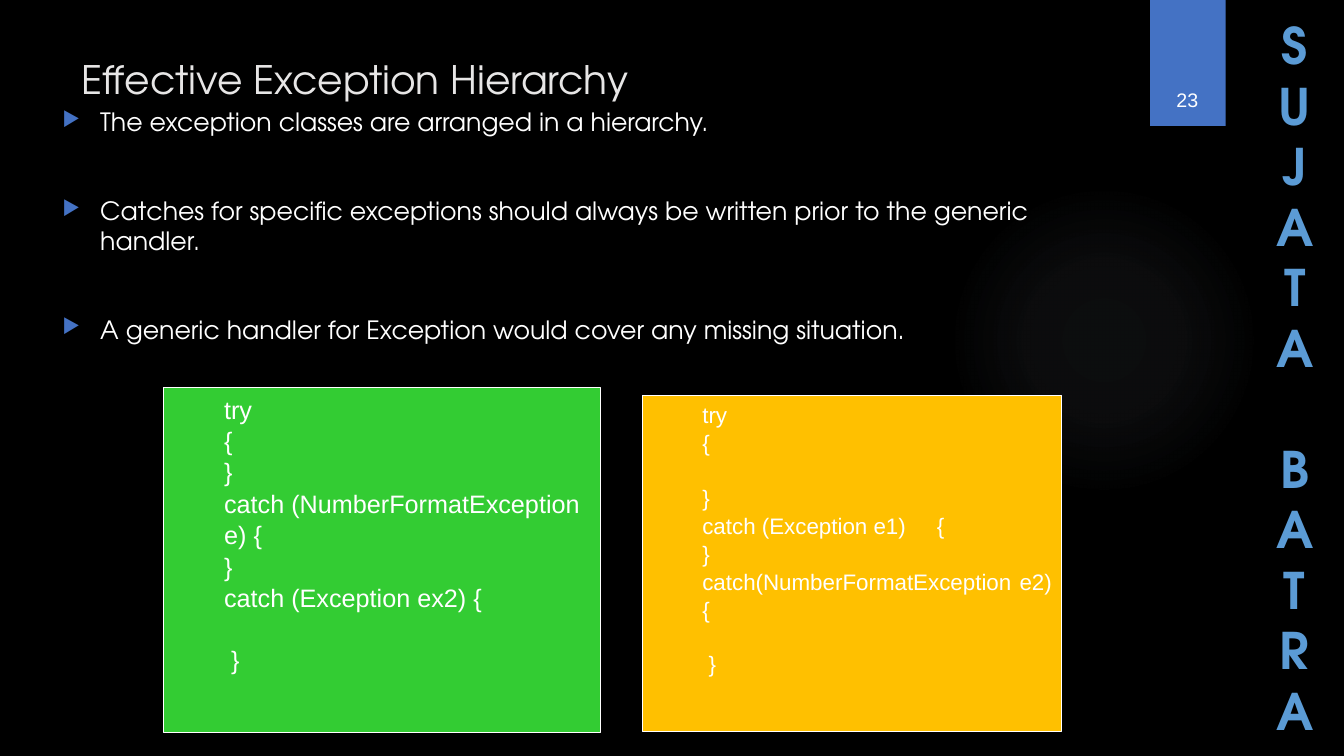
from lxml.etree import SubElement
from pptx import Presentation
from pptx.dml.color import RGBColor
from pptx.enum.shapes import MSO_SHAPE as Shape
from pptx.enum.text import MSO_ANCHOR as Anchor, PP_ALIGN as Align
from pptx.oxml import parse_xml
from pptx.oxml.ns import nsdecls, qn
from pptx.util import Pt

BLACK = RGBColor(0, 0, 0)
WHITE = RGBColor(0xFF, 0xFF, 0xFF)
PALE = RGBColor(0xE7, 0xE6, 0xE6)
BLUE = RGBColor(0x44, 0x72, 0xC4)
SKY = RGBColor(0x5B, 0x9B, 0xD5)
GREEN = RGBColor(0x33, 0xCC, 0x33)
AMBER = RGBColor(0xFF, 0xC0, 0x00)
GLOW = RGBColor(0xAD, 0xB9, 0xCA)

DISPLAY = "TeX Gyre Adventor"
PLAIN = "Arial"

POINTS = [
    "The exception classes are arranged in a hierarchy.",
    "Catches for specific exceptions should always be written prior to the generic handler.",
    "A generic handler for Exception would cover any missing situation.",
]
SPECIFIC_FIRST = [
    "try", "{", "}", "catch (NumberFormatException e) {", "}",
    "catch (Exception ex2) {", "", " }",
]
GENERIC_FIRST = [
    "try", "{", "", "}", "catch (Exception e1)     {", "}",
    "catch(NumberFormatException e2) {", "", " }",
]


def assign(target, values):
    for name, value in values.items():
        setattr(target, name, value)


class SlideBuilder:
    def __init__(self, page):
        self.page = page
        backdrop = page.background.fill
        backdrop.solid()
        backdrop.fore_color.rgb = BLACK

    def shape(self, kind, place, color=None, line=None):
        shape = self.page.shapes.add_shape(kind, *map(Pt, place))
        shape.shadow.inherit = False
        if color is not None:
            shape.fill.solid()
            shape.fill.fore_color.rgb = color
        if line is None:
            shape.line.fill.background()
        else:
            shape.line.color.rgb = line
            shape.line.width = Pt(0.75)
        return shape

    def glow(self, place, color, stops):
        shape = self.shape(Shape.OVAL, place)
        marks = "".join(
            f'<a:gs pos="{position * 1000}"><a:srgbClr val="{color}">'
            f'<a:alpha val="{alpha * 1000}"/></a:srgbClr></a:gs>'
            for position, alpha in stops
        )
        gradient = parse_xml(
            f'<a:gradFill {nsdecls("a")}><a:gsLst>{marks}</a:gsLst><a:path path="circle">'
            '<a:fillToRect l="50000" t="50000" r="50000" b="50000"/></a:path></a:gradFill>'
        )
        shape.element.spPr.find(qn("a:prstGeom")).addnext(gradient)

    def text(self, place, lines, font, anchor=Anchor.TOP, **layout):
        box = self.page.shapes.add_textbox(*map(Pt, place))
        self.set_lines(box.text_frame, lines, font, anchor, **layout)
        return box

    def set_lines(self, frame, lines, font, anchor=Anchor.TOP, gap=0, bullet=None, **layout):
        assign(frame, {"word_wrap": True, "vertical_anchor": anchor})
        for index, line in enumerate(lines):
            para = frame.paragraphs[0] if index == 0 else frame.add_paragraph()
            assign(para, layout)
            if index:
                para.space_before = Pt(gap)
            if bullet is not None:
                self.bullet(para, bullet)
            span = para.add_run()
            span.text = line
            self.style(span, **font)

    def style(self, span, color, **values):
        assign(span.font, values)
        span.font.color.rgb = color

    def bullet(self, para, color):
        properties = para._p.get_or_add_pPr()
        for name, length in {"marL": 27, "indent": -27}.items():
            properties.set(name, str(int(Pt(length))))
        tint = SubElement(properties, qn("a:buClr"))
        SubElement(tint, qn("a:srgbClr"), val=str(color))
        SubElement(properties, qn("a:buSzPct"), val="80000")
        SubElement(properties, qn("a:buChar"), char="▶")

    def code(self, place, color, lines, size, align):
        frame = self.shape(Shape.RECTANGLE, place, color, WHITE).text_frame
        font = {"name": PLAIN, "size": Pt(size), "color": WHITE}
        self.set_lines(frame, [line for line in lines if line], font,
                       alignment=align, line_spacing=1.04)
        after_blank = [not before for before, line in zip([" ", *lines], lines) if line]
        for para, blank in zip(frame.paragraphs, after_blank):
            para._p.get_or_add_pPr().set("marL", str(int(Pt(36))))
            if blank:
                para.space_before = Pt(1.2 * size)

    def stacked(self, place, words, font, gap):
        box = self.text(place, words, font, gap=gap, alignment=Align.CENTER)
        box.element.txBody.bodyPr.set("vert", "wordArtVert")


def main():
    deck = Presentation()
    assign(deck, {"slide_width": Pt(960), "slide_height": Pt(540)})
    builder = SlideBuilder(deck.slides.add_slide(deck.slide_layouts[6]))

    builder.glow((677.5, 131.8, 221.8, 221.8), GLOW, [(0, 7), (36, 6), (69, 0)])
    builder.shape(Shape.RECTANGLE, (821.5, 0, 54, 90), BLUE)
    builder.stacked((905, 4.3, 39, 530.6), ["SUJATA", "BATRA"],
                    {"name": DISPLAY, "size": Pt(36), "bold": True, "color": SKY}, 43.2)
    builder.text((51, 36, 741, 110), ["Effective Exception Hierarchy"],
                 {"name": DISPLAY, "size": Pt(28), "color": PALE})
    builder.text((37.5, 72.7, 754, 420), POINTS,
                 {"name": DISPLAY, "size": Pt(18), "color": WHITE}, gap=41.6, bullet=BLUE)
    builder.text((815, 23, 66.2, 60.5), ["23"],
                 {"name": PLAIN, "size": Pt(14), "color": WHITE},
                 Anchor.BOTTOM, alignment=Align.CENTER)
    builder.code((117, 277, 312, 246), GREEN, SPECIFIC_FIRST, 18, Align.LEFT)
    builder.code((458.6, 282.3, 300, 240), AMBER, GENERIC_FIRST, 16, Align.JUSTIFY)

    deck.save("out.pptx")


if __name__ == "__main__":
    main()
